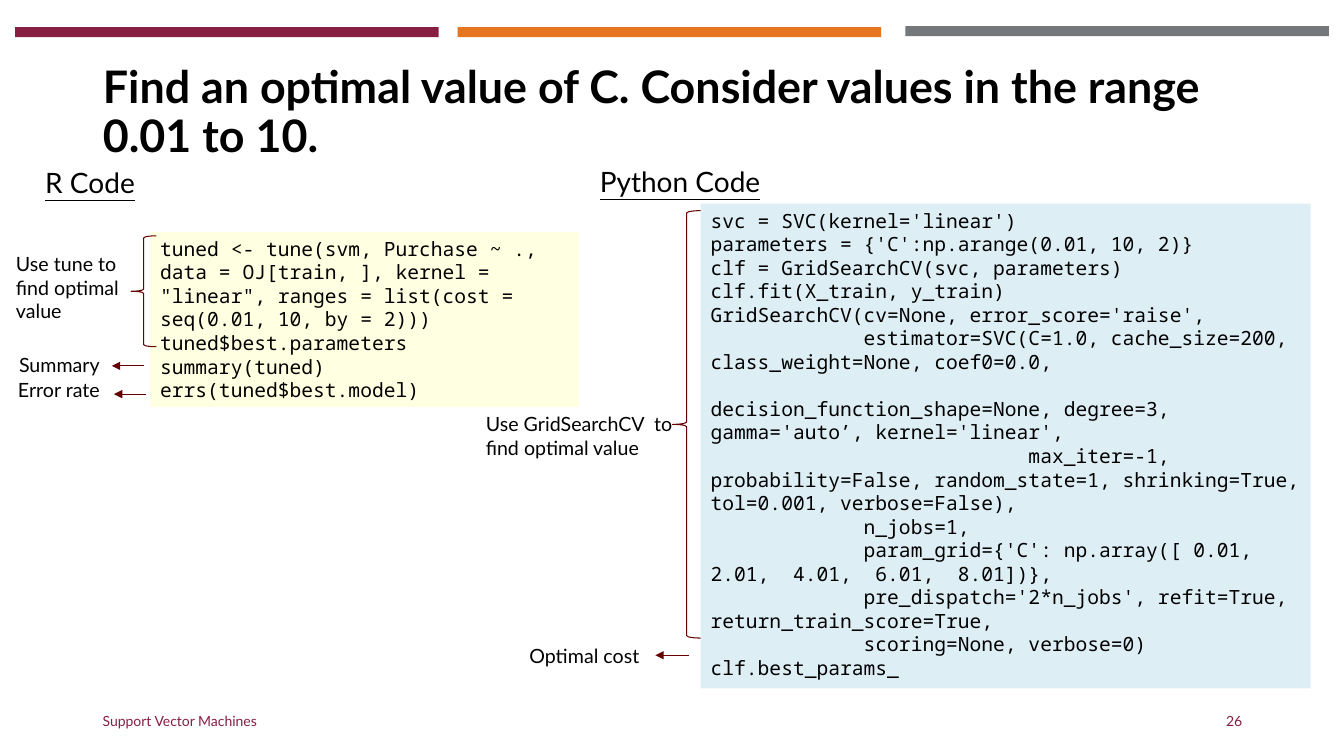
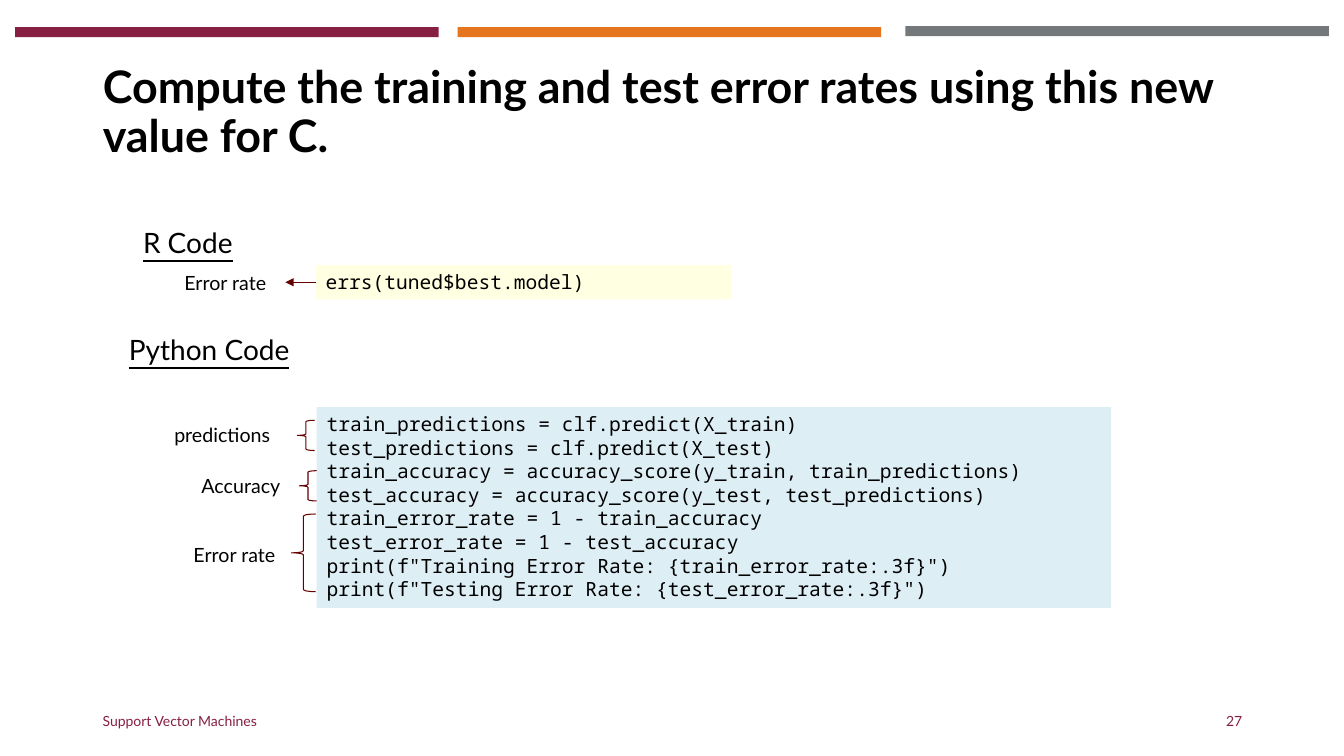
import pptx
import pptx.dml.color
import pptx.enum.shapes
import pptx.enum.text
import pptx.oxml.ns
import pptx.util
from lxml import etree

Inches, Pt = pptx.util.Inches, pptx.util.Pt
RGBColor = pptx.dml.color.RGBColor
SHAPE = pptx.enum.shapes.MSO_SHAPE
LEFT, RIGHT = pptx.enum.text.PP_ALIGN.LEFT, pptx.enum.text.PP_ALIGN.RIGHT
TOP, MIDDLE = pptx.enum.text.MSO_ANCHOR.TOP, pptx.enum.text.MSO_ANCHOR.MIDDLE
qn = pptx.oxml.ns.qn

MAROON = RGBColor(0x86, 0x1F, 0x41)
ORANGE = RGBColor(0xE5, 0x75, 0x1F)
GRAY = RGBColor(0x75, 0x78, 0x7B)
DARK_RED = RGBColor(0x65, 0x00, 0x00)
R_FILL = RGBColor(0xFF, 0xFF, 0xE1)
PYTHON_FILL = RGBColor(0xDE, 0xEE, 0xF5)
BLACK = RGBColor(0x00, 0x00, 0x00)
TEXT_FONT, CODE_FONT = "Lato", "Noto Sans Mono"

BANDS = [(0.15, 0.27, MAROON), (4.54, 0.27, ORANGE), (8.98, 0.26, GRAY)]

SLIDES = [
    {
        "title": "Find an optimal value of C. Consider values in the range 0.01 to 10.",
        "number": "26",
        "headings": [("R Code", 0.35, 1.42), ("Python Code", 5.85, 1.41)],
        "code": [
            ((1.49, 2.3, 4.25, 1.74), R_FILL, [
                'tuned <- tune(svm, Purchase ~ ., data = OJ[train, ], kernel = "linear", '
                "ranges = list(cost = seq(0.01, 10, by = 2)))",
                "tuned$best.parameters",
                "summary(tuned)",
                "errs(tuned$best.model)",
            ]),
            ((6.95, 2.02, 6.05, 4.81), PYTHON_FILL, [
                "svc = SVC(kernel='linear')",
                "parameters = {'C':np.arange(0.01, 10, 2)}",
                "clf = GridSearchCV(svc, parameters)",
                "clf.fit(X_train, y_train)",
                "GridSearchCV(cv=None, error_score='raise',",
                "             estimator=SVC(C=1.0, cache_size=200, class_weight=None, coef0=0.0,",
                "                           decision_function_shape=None, degree=3, "
                "gamma='auto’, kernel='linear',",
                "                           max_iter=-1, probability=False, random_state=1, "
                "shrinking=True, tol=0.001, verbose=False),",
                "             n_jobs=1,",
                "             param_grid={'C': np.array([ 0.01,  2.01,  4.01,  6.01,  8.01])},",
                "             pre_dispatch='2*n_jobs', refit=True, return_train_score=True,",
                "             scoring=None, verbose=0)",
                "clf.best_params_",
            ]),
        ],
        "labels": [
            ((0.06, 2.45, 1.38, 0.81), ["Use tune to", "find optimal value"], LEFT),
            ((0.09, 3.45, 1.35, 0.34), ["Summary"], LEFT),
            ((0.08, 3.7, 1.35, 0.34), ["Error rate"], LEFT),
            ((4.72, 4.04, 2.09, 0.81), ["Use GridSearchCV  to find optimal value"], LEFT),
            ((4.65, 6.34, 1.79, 0.34), ["Optimal cost"], RIGHT),
        ],
        "braces": [(1.3, 2.34, 0.25, 1.1), (6.67, 2.09, 0.28, 4.24)],
        # start x, end x, y, index of the code box the arrow starts from
        "arrows": [(1.43, 1.11, 3.63, None), (1.45, 1.13, 3.91, None), (6.83, 6.5, 6.5, None)],
    },
    {
        "title": "Compute the training and test error rates using this new value for C.",
        "number": "27",
        "headings": [("R Code", 1.32, 2.02), ("Python Code", 1.18, 3.08)],
        "code": [
            ((3.13, 2.63, 4.12, 0.34), R_FILL, ["errs(tuned$best.model)"]),
            ((3.14, 4.04, 7.88, 1.99), PYTHON_FILL, [
                "train_predictions = clf.predict(X_train)",
                "test_predictions = clf.predict(X_test)",
                "train_accuracy = accuracy_score(y_train, train_predictions)",
                "test_accuracy = accuracy_score(y_test, test_predictions)",
                "train_error_rate = 1 - train_accuracy",
                "test_error_rate = 1 - test_accuracy",
                'print(f"Training Error Rate: {train_error_rate:.3f}")',
                'print(f"Testing Error Rate: {test_error_rate:.3f}")',
            ]),
        ],
        "labels": [
            ((1.73, 2.64, 1.35, 0.34), ["Error rate"], LEFT),
            ((1.63, 4.15, 1.35, 0.34), ["predictions"], LEFT),
            ((1.9, 4.65, 1.17, 0.34), ["Accuracy"], LEFT),
            ((1.82, 5.34, 1.35, 0.34), ["Error rate"], LEFT),
        ],
        "braces": [(2.95, 4.17, 0.17, 0.3), (2.97, 4.67, 0.17, 0.3), (2.89, 5.1, 0.24, 0.77)],
        "arrows": [(3.13, 2.83, 2.8, 0)],
    },
]


def add_shape(s, kind, box, fill=None, line=None):
    sp = s.shapes.add_shape(kind, *map(Inches, box))
    sp.shadow.inherit = False
    if fill is None:
        sp.fill.background()
    else:
        sp.fill.solid()
        sp.fill.fore_color.rgb = fill
    if line is None:
        sp.line.fill.background()
    else:
        sp.line.color.rgb = line
        sp.line.width = Pt(0.75)
    return sp


def write(sp, lines, size=14, font=TEXT_FONT, color=BLACK, align=LEFT, anchor=TOP,
          spacing=1.0, bold=False, underline=False):
    """Fill a shape with one paragraph per line, all in one style."""
    tf = sp.text_frame
    tf.word_wrap = True
    tf.auto_size = pptx.enum.text.MSO_AUTO_SIZE.NONE
    tf.vertical_anchor = anchor
    for i, text in enumerate(lines):
        p = tf.add_paragraph() if i else tf.paragraphs[0]
        p.alignment = align
        p.line_spacing = spacing
        r = p.add_run()
        r.text = text
        r.font.name = font
        r.font.size = Pt(size)
        r.font.bold = bold
        r.font.underline = underline
        r.font.color.rgb = color


prs = pptx.Presentation()
prs.slide_width, prs.slide_height = Inches(13.33), Inches(7.5)

for content in SLIDES:
    s = prs.slides.add_slide(prs.slide_layouts[5])

    for x, y, color in BANDS:
        add_shape(s, SHAPE.RECTANGLE, (x, y, 4.2, 0.1), fill=color)

    title = s.shapes.title
    title.left, title.top, title.width, title.height = map(Inches, (0.92, 0.4, 11.5, 1.45))
    write(title, [content["title"]], size=32, anchor=MIDDLE, spacing=0.9, bold=True)

    for text, x, width, align in [("Support Vector Machines", 0.92, 4.5, LEFT),
                                  (content["number"], 9.42, 3, RIGHT)]:
        footer = s.shapes.add_textbox(*map(Inches, (x, 6.95, width, 0.4)))
        write(footer, [text], size=10, color=MAROON, align=align, anchor=MIDDLE)

    for text, x, y in content["headings"]:
        heading = s.shapes.add_textbox(*map(Inches, (x, y, 2.22, 0.61)))
        write(heading, [text], size=20, anchor=MIDDLE, spacing=1.5, underline=True)

    code_boxes = []
    for box, fill, lines in content["code"]:
        sp = add_shape(s, SHAPE.RECTANGLE, box, fill=fill)
        write(sp, lines, font=CODE_FONT)
        code_boxes.append(sp)

    for box, lines, align in content["labels"]:
        write(s.shapes.add_textbox(*map(Inches, box)), lines, align=align)

    for box in content["braces"]:
        add_shape(s, SHAPE.LEFT_BRACE, box, line=DARK_RED)

    for x1, x2, y, source in content["arrows"]:
        arrow = s.shapes.add_connector(pptx.enum.shapes.MSO_CONNECTOR.STRAIGHT,
                                       *map(Inches, (x1, y, x2, y)))
        if source is not None:
            arrow.begin_connect(code_boxes[source], 1)
        arrow.line.color.rgb = DARK_RED
        arrow.line.width = Pt(0.75)
        etree.SubElement(arrow.line._get_or_add_ln(), qn("a:tailEnd"), type="triangle")
        etree.SubElement(arrow._element.spPr, qn("a:effectLst"))

prs.save("out.pptx")
